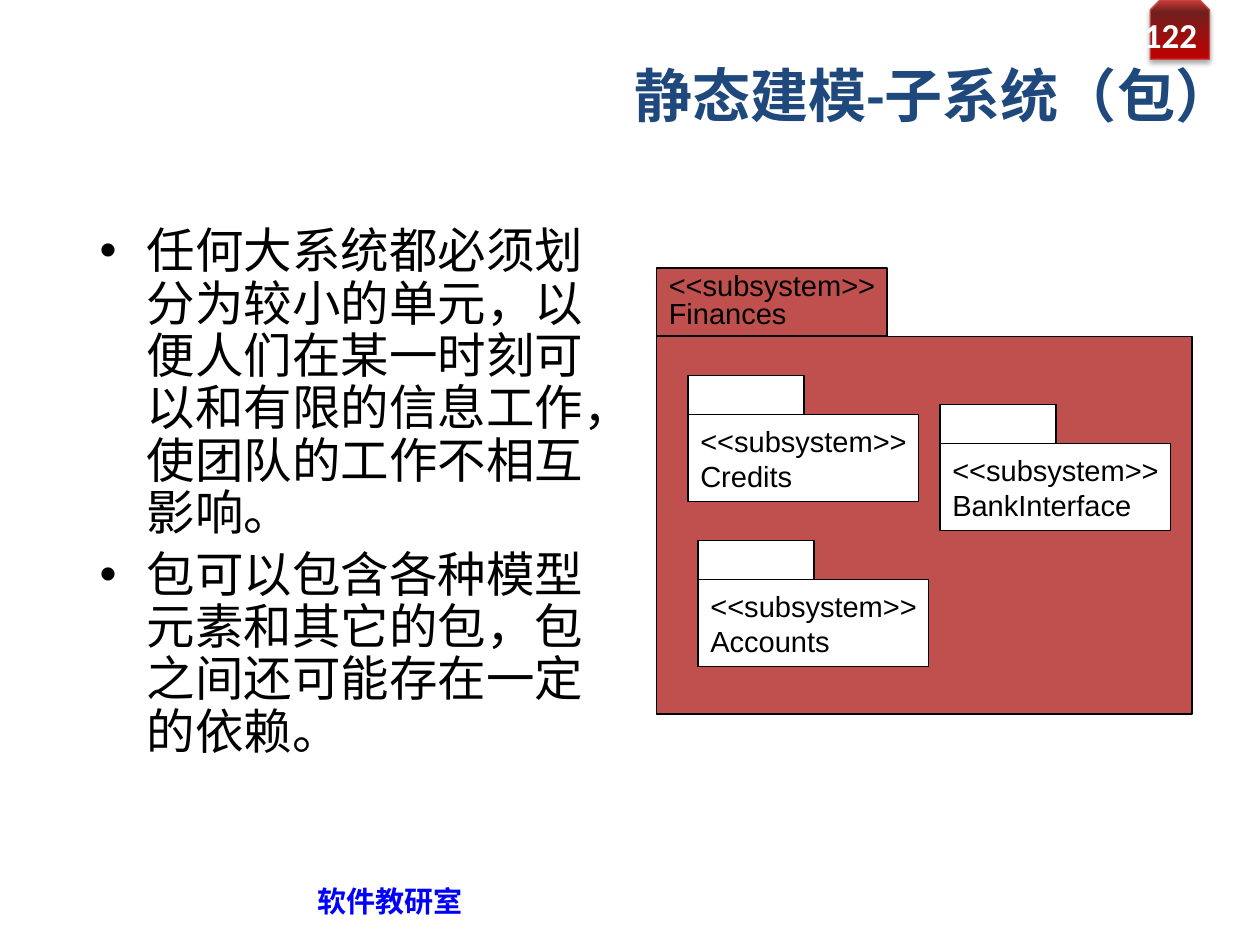
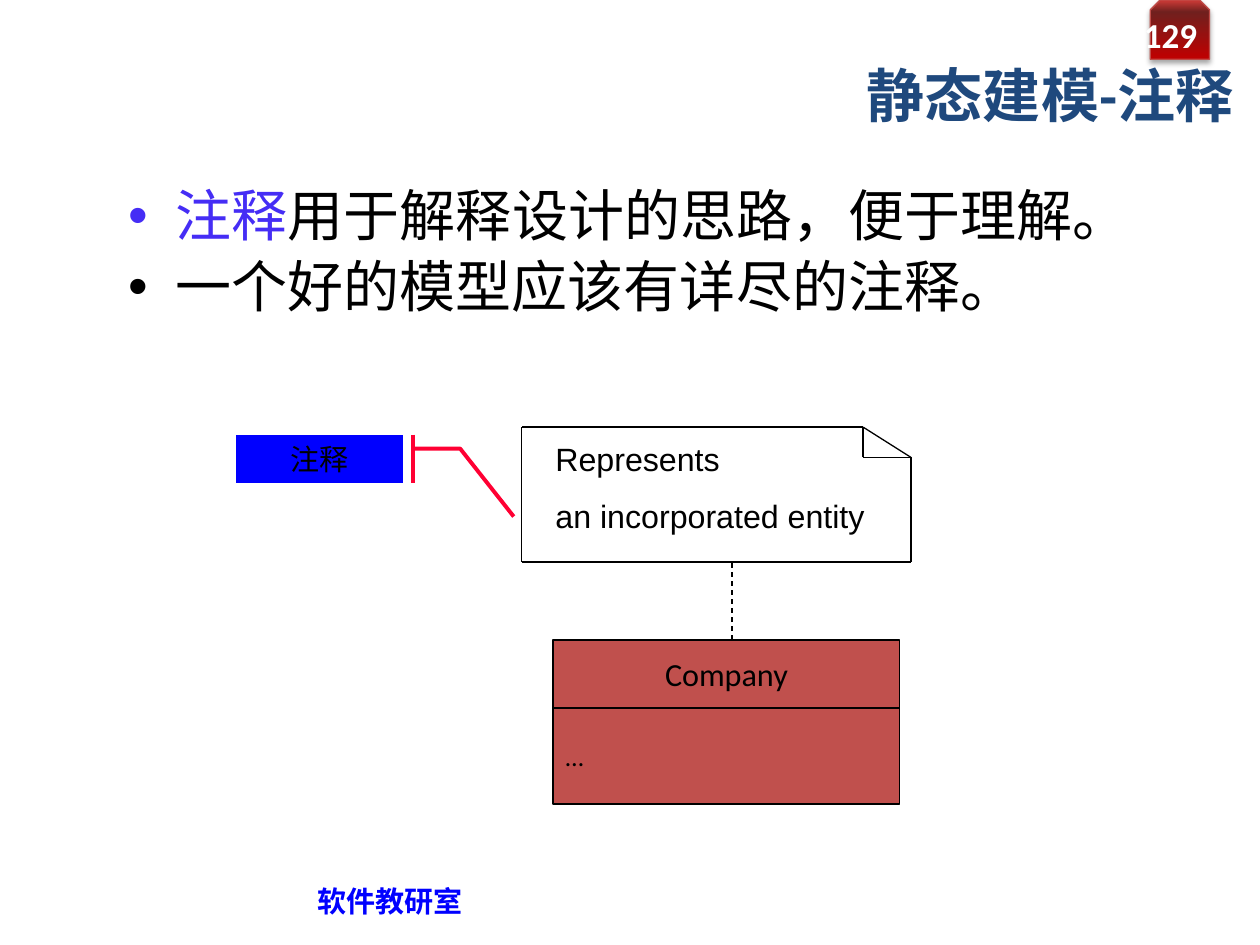
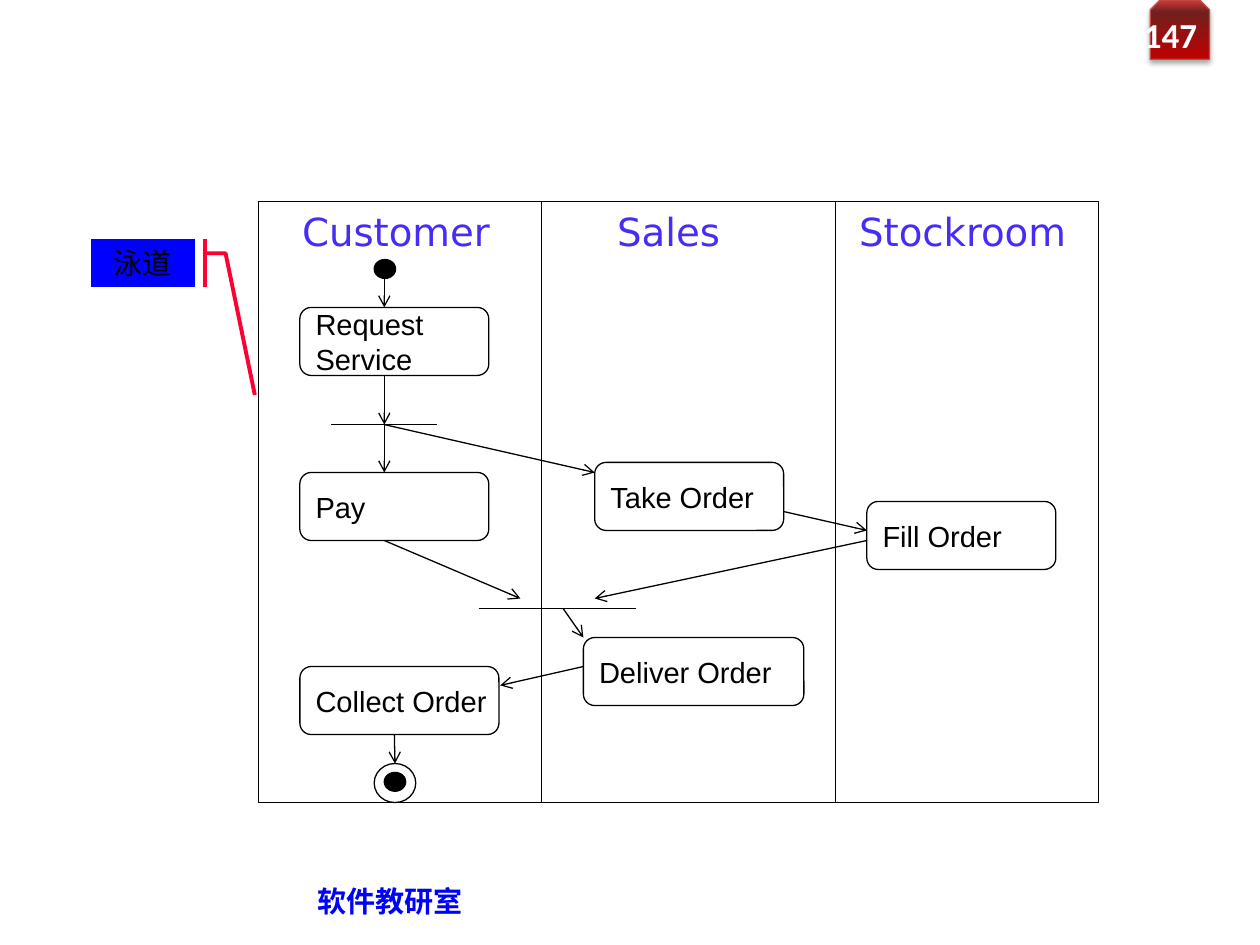
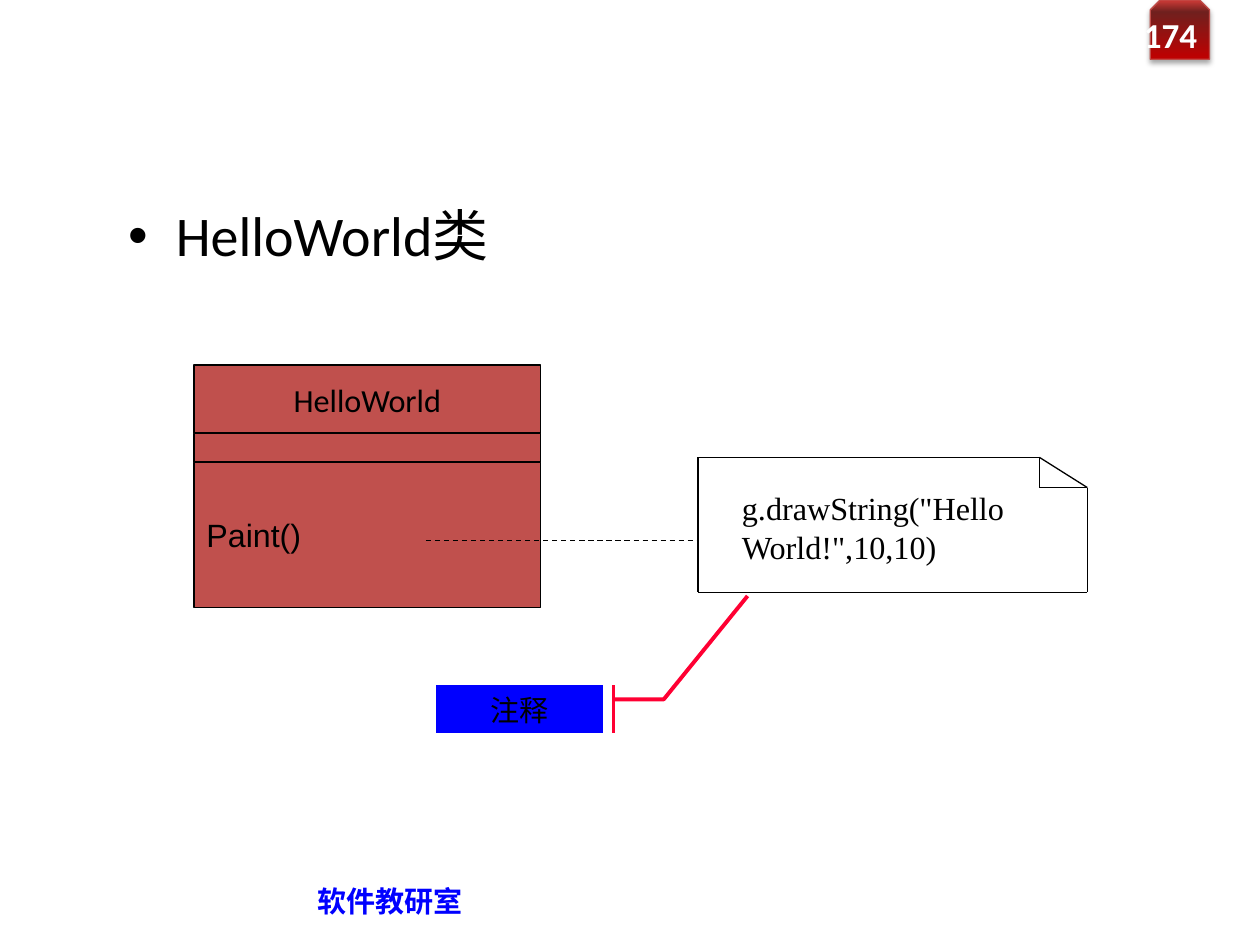
from dataclasses import dataclass
from itertools import pairwise

from lxml import etree
from pptx import Presentation
from pptx.dml import color as dml_color
from pptx.enum import dml, shapes, text
from pptx.oxml.ns import qn
from pptx.util import Inches, Pt

SHAPE, ALIGN, ANCHOR = shapes.MSO_SHAPE, text.PP_ALIGN, text.MSO_ANCHOR


@dataclass(frozen=True)
class Theme:
    black: str = "000000"
    white: str = "FFFFFF"
    navy: str = "1F497D"
    blue: str = "0000FF"
    violet: str = "452DF5"
    brick: str = "C0504D"
    callout: str = "FF0033"
    badge_line: str = "BF4C48"
    badge_stops: tuple = ((0, "C00000"), (80, "70201E"), (100, "CE3B37"))
    sans: str = "Calibri"
    diagram: str = "Arial"
    lane: str = "DejaVu Sans"
    code: str = "Times New Roman"
    title: float = 33.2
    body: float = 32
    body_small: float = 27.7
    lane_size: float = 22.1
    page: float = 20
    class_size: float = 18.4
    label: float = 16.6
    dots: float = 14.8
    thin: float = 0.75
    medium: float = 1
    thick: float = 2.25


T = Theme()

# ---- content -------------------------------------------------------------
FOOTER = "软件教研室"
PACKAGE_TITLE = "静态建模-子系统（包）"
PACKAGE_POINTS = [
    "任何大系统都必须划分为较小的单元，以便人们在某一时刻可以和有限的信息工作，使团队的工作不相互影响。",
    "包可以包含各种模型元素和其它的包，包之间还可能存在一定的依赖。",
]
SUBSYSTEM = "<<subsystem>>"
INNER_PACKAGES = [  # name, left, top
    ("Credits", 5.46, 2.98),
    ("Accounts", 5.54, 4.29),
    ("BankInterface", 7.46, 3.21),
]

NOTE_TITLE = "静态建模-注释"
NOTE_POINTS = [
    [("注释", T.violet), ("用于解释设计的思路，便于理解。", T.black)],
    "一个好的模型应该有详尽的注释。",
]
NOTE_TEXT = ["Represents", "an incorporated entity"]

LANES = [("Customer", 2.3, 1.83), ("Sales", 4.8, 1.67), ("Stockroom", 6.72, 2.08)]
LANE_BORDERS = [4.3, 6.63]
ACTIVITIES = [  # lines, left, top, width
    (["Request", "Service"], 2.38, 2.44, 1.5),
    (["Pay"], 2.38, 3.75, 1.5),
    (["Take Order"], 4.72, 3.67, 1.5),
    (["Fill Order"], 6.88, 3.98, 1.5),
    (["Deliver Order"], 4.63, 5.06, 1.75),
    (["Collect Order"], 2.38, 5.29, 1.58),
]
SYNC_BARS = [((2.63, 3.37), (3.47, 3.37)), ((3.8, 4.83), (5.05, 4.83))]
FLOWS = [
    ((3.05, 2.21), (3.05, 2.44)),
    ((3.05, 2.98), (3.05, 3.37)),
    ((3.05, 3.37), (3.05, 3.75)),
    ((3.05, 3.37), (4.72, 3.75)),
    ((6.22, 4.06), (6.88, 4.21)),
    ((3.05, 4.29), (4.13, 4.75)),
    ((6.88, 4.29), (4.72, 4.75)),
    ((4.47, 4.83), (4.63, 5.06)),
    ((4.63, 5.29), (3.97, 5.44)),
]

HELLO_POINTS = ["HelloWorld类"]
HELLO_NOTE = ['g.drawString("Hello World!",10,10)']


# ---- helpers -------------------------------------------------------------
def rgb(value):
    return dml_color.RGBColor.from_string(value)


def sub(parent, tag, **attrs):
    return etree.SubElement(parent, qn(tag), {k: str(v) for k, v in attrs.items()})


def write(tf, paras, *, size=T.label, font=T.diagram, color=T.black, bold=False,
          align=ALIGN.LEFT, anchor=ANCHOR.TOP, spacing=None, before=0, wrap=True):
    """Fill a text frame; a paragraph is a string or a list of (text, colour)."""
    tf.word_wrap = wrap
    tf.auto_size = text.MSO_AUTO_SIZE.NONE
    tf.vertical_anchor = anchor
    for i, para in enumerate(paras):
        p = tf.add_paragraph() if i else tf.paragraphs[0]
        p.alignment = align
        p.space_before = Pt(before if i else 0)
        if spacing:
            p.line_spacing = spacing
        for words, tint in [(para, color)] if isinstance(para, str) else para:
            r = p.add_run()
            r.text = words
            r.font.size, r.font.name, r.font.bold = Pt(size), font, bold
            r.font.color.rgb = rgb(tint)


def place(sp, left, top, width, height):
    sp.left, sp.top = Inches(left), Inches(top)
    sp.width, sp.height = Inches(width), Inches(height)


def add_text(s, paras, box, **fmt):
    sp = s.shapes.add_textbox(*map(Inches, box))
    write(sp.text_frame, paras, **fmt)


def add_box(s, box, paras=(), *, kind=SHAPE.RECTANGLE, fill=None, line=T.black,
            weight=T.medium, adjust=(), **fmt):
    sp = s.shapes.add_shape(kind, *map(Inches, box))
    sp.shadow.inherit = False
    if fill:
        sp.fill.solid()
        sp.fill.fore_color.rgb = rgb(fill)
    else:
        sp.fill.background()
    sp.line.color.rgb, sp.line.width = rgb(line), Pt(weight)
    for i, value in enumerate(adjust):
        sp.adjustments[i] = value
    if paras:
        write(sp.text_frame, paras, **{"anchor": ANCHOR.MIDDLE, "wrap": False, **fmt})
    return sp


def add_line(parent, start, end, *, arrow=False, dashed=False):
    c = parent.shapes.add_connector(shapes.MSO_CONNECTOR.STRAIGHT,
                                    *map(Inches, (*start, *end)))
    c.line.color.rgb, c.line.width = rgb(T.black), Pt(T.thin)
    if dashed:
        c.line.dash_style = dml.MSO_LINE.DASH
    sp_pr = c.element.spPr
    if arrow:
        sub(sp_pr.find(qn("a:ln")), "a:tailEnd", type="arrow")
    sub(sp_pr, "a:effectLst")
    return c


def add_badge(s, page):
    sp = add_box(s, (9.13, 0, 0.47, 0.47), kind=SHAPE.SNIP_2_SAME_RECTANGLE,
                 line=T.badge_line, weight=T.thin)
    sp.fill.gradient()
    sp.fill.gradient_angle = 90
    sp_pr = sp.element.spPr
    stops = sp_pr.find(qn("a:gradFill")).find(qn("a:gsLst"))
    for stop in list(stops):
        stops.remove(stop)
    for percent, tint in T.badge_stops:
        sub(sub(stops, "a:gs", pos=percent * 1000), "a:srgbClr", val=tint)
    shadow = sub(sp_pr.find(qn("a:effectLst")), "a:outerShdw", blurRad=Pt(3.1),
                 dist=Pt(1.8), dir=5400000, rotWithShape=0)
    sub(sub(shadow, "a:srgbClr", val=T.black), "a:alpha", val=35000)
    add_text(s, [str(page)], (8.97, 0.07, 0.63, 0.4), size=T.page, font=T.sans,
             color=T.white, bold=True, align=ALIGN.RIGHT, anchor=ANCHOR.MIDDLE)


def new_slide(prs, page, title=None, points=None, body_box=None, body_size=T.body):
    s = prs.slides.add_slide(prs.slide_layouts[1])
    head, body = s.shapes.title, s.placeholders[1]
    if title:
        place(head, 3.97, 0.46, 5.92, 0.58)
        write(head.text_frame, [title], size=T.title, font=T.sans, color=T.navy,
              bold=True, align=ALIGN.RIGHT, anchor=ANCHOR.MIDDLE)
    if points:
        place(body, *body_box)
        write(body.text_frame, points, size=body_size, font=T.sans, spacing=0.9,
              before=round(body_size * 0.2, 1))
    for holder, used in ((head, title), (body, points)):
        if not used:
            holder.element.getparent().remove(holder.element)
    add_badge(s, page)
    add_text(s, [FOOTER], (2.42, 6.95, 1.6, 0.4), color=T.blue, bold=True,
             anchor=ANCHOR.MIDDLE)
    return s


def add_note(s, left, top, paras, text_box, **fmt):
    """Draw a UML note: outline with a folded top right corner, and its text."""
    right, bottom = left + 3.09, top + 1.07
    fold_x, fold_y = right - 0.38, top + 0.24
    outline = [(fold_x, fold_y), (fold_x, top), (left, top), (left, bottom),
               (right, bottom), (right, fold_y), (fold_x, top)]
    group = s.shapes.add_group_shape()
    for start, end in pairwise(outline):
        add_line(group, start, end)
    add_line(group, (fold_x, fold_y), (right, fold_y))
    add_text(s, paras, text_box, size=T.class_size, before=10, **fmt)


def add_callout(s, label, left, top, width, adjust):
    add_box(s, (left, top, width, 0.38), [label], fill=T.blue, line=T.callout,
            kind=SHAPE.LINE_CALLOUT_2_ACCENT_BAR, weight=T.thick, adjust=adjust,
            font=T.sans, align=ALIGN.CENTER, wrap=True)


def add_class(s, left, top, name, parts):
    """Stack a class name and parts of (height, lines, line weight, format)."""
    header = (0.54, [name], T.medium,
              dict(size=T.class_size, font=T.sans, align=ALIGN.CENTER))
    for height, paras, weight, fmt in [header, *parts]:
        add_box(s, (left, top, 2.75, height), paras, fill=T.brick, weight=weight, **fmt)
        top += height


# ---- slides --------------------------------------------------------------
def package_slide(prs):
    s = new_slide(prs, 122, PACKAGE_TITLE, PACKAGE_POINTS, (0.69, 1.75, 4.25, 4.54),
                  T.body_small)
    add_box(s, (5.21, 2.67, 4.25, 3), fill=T.brick)
    add_box(s, (5.21, 2.13, 1.83, 0.54), [SUBSYSTEM, "Finances"], fill=T.brick,
            spacing=0.8)
    tab = 0.31
    for name, left, top in INNER_PACKAGES:
        add_box(s, (left, top + tab, 1.83, 0.69), [SUBSYSTEM, name], fill=T.white)
        add_box(s, (left, top, 0.92, tab), fill=T.white)


def note_slide(prs):
    s = new_slide(prs, 129, NOTE_TITLE, NOTE_POINTS, (0.92, 1.44, 8.23, 1.21))
    add_note(s, 4.14, 3.39, NOTE_TEXT, (4.31, 3.44, 2.92, 0.88))
    add_class(s, 4.39, 5.08, "Company",
              [(0.76, ["…"], T.medium, dict(size=T.dots, font=T.sans))])
    add_line(s, (5.81, 5.08), (5.81, 4.46), dashed=True)
    add_callout(s, "注释", 1.87, 3.45, 1.33, (0.29, 1.06, 0.29, 1.34, 1.71, 1.66))


def swimlane_slide(prs):
    s = new_slide(prs, 147)
    top, bottom = 1.6, 6.37
    add_box(s, (2.05, top, 6.67, bottom - top), weight=T.thin)
    for x in LANE_BORDERS:
        add_line(s, (x, top), (x, bottom))
    for name, left, width in LANES:
        add_text(s, [name], (left, top, width, 0.47), size=T.lane_size, font=T.lane,
                 color=T.violet)
    for lines, left, y, width in ACTIVITIES:
        add_box(s, (left, y, width, 0.54), lines, kind=SHAPE.ROUNDED_RECTANGLE,
                weight=T.thin, adjust=(0.167,))
    ring = add_box(s, (2.97, 6.06, 0.33, 0.31), kind=SHAPE.OVAL, weight=T.thin)
    for left, y in ((2.97, 2.06), (3.05, 6.13)):
        add_box(s, (left, y, 0.17, 0.15), kind=SHAPE.OVAL, fill=T.black, weight=T.thin)
    for start, end in SYNC_BARS:
        add_line(s, start, end)
    for start, end in FLOWS:
        add_line(s, start, end, arrow=True)
    add_line(s, (3.13, 5.83), (3.13, 6.06), arrow=True).end_connect(ring, 0)
    add_callout(s, "泳道", 0.72, 1.9, 0.83, (0.29, 1.09, 0.29, 1.29, 3.25, 1.57))


def hello_slide(prs):
    s = new_slide(prs, 174, points=HELLO_POINTS, body_box=(0.92, 1.6, 7.35, 0.6))
    add_class(s, 1.54, 2.9, "HelloWorld",
              [(0.23, [], T.medium, {}),
               (1.15, ["Paint()"], T.thin, dict(size=T.class_size))])
    add_note(s, 5.54, 3.63, HELLO_NOTE, (5.79, 3.83, 2.92, 0.72), font=T.code)
    add_line(s, (3.38, 4.29), (5.54, 4.29), dashed=True)
    add_callout(s, "注释", 3.46, 5.44, 1.33, (0.29, 1.06, 0.29, 1.36, -1.87, 1.86))


def main():
    prs = Presentation()
    prs.slide_width, prs.slide_height = Inches(10), Inches(7.5)
    for build in (package_slide, note_slide, swimlane_slide, hello_slide):
        build(prs)
    prs.save("out.pptx")


if __name__ == "__main__":
    main()
